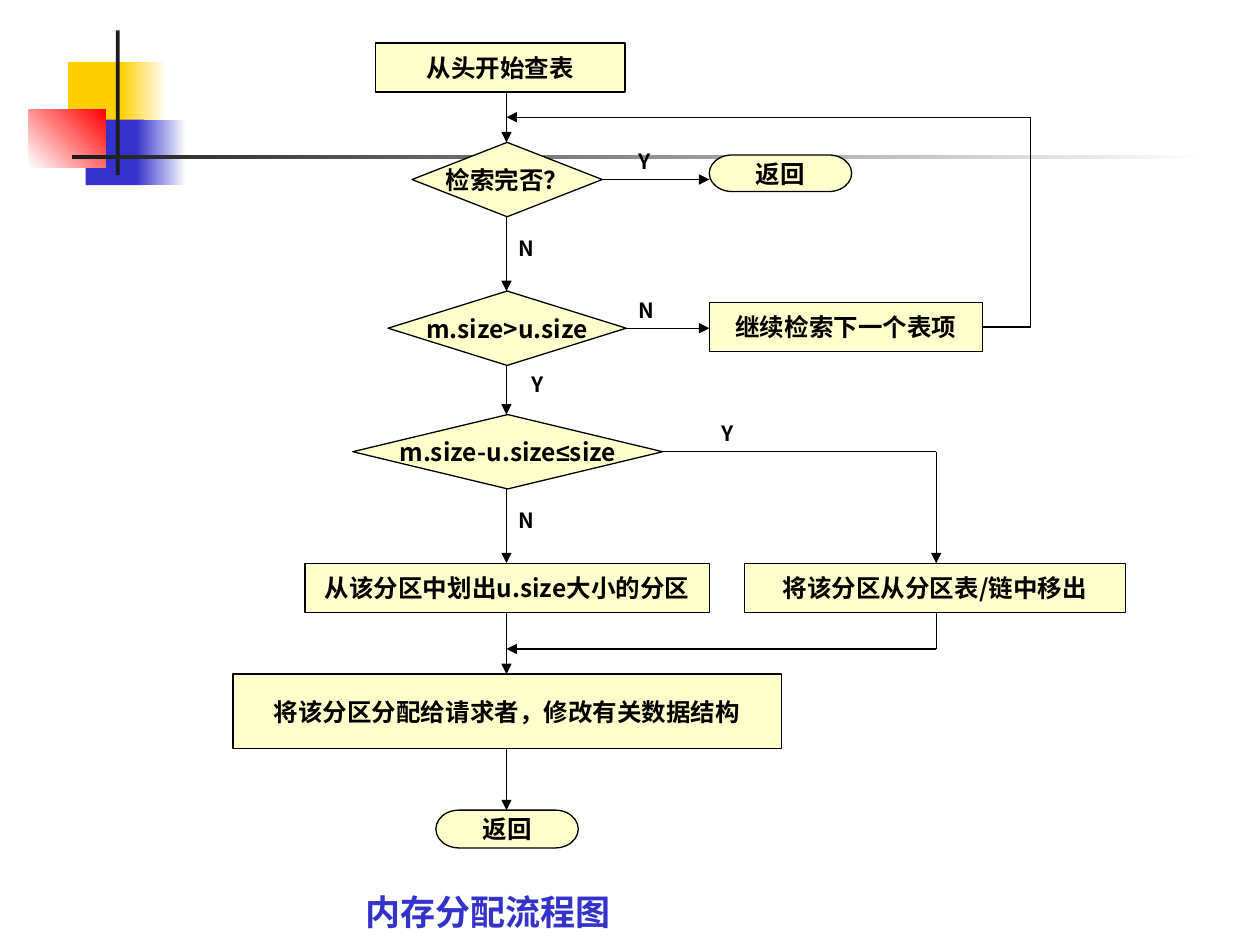
"""Build the memory allocation flowchart slide."""
import itertools

import pptx
import pptx.dml.color
import pptx.enum.shapes
import pptx.enum.text
import pptx.oxml.ns
import pptx.util
from lxml import etree

Inches = pptx.util.Inches
Pt = pptx.util.Pt
SHAPE = pptx.enum.shapes.MSO_SHAPE
CJK = "Noto Sans CJK SC"
INK, CREAM, BLUE, WHITE = "000000", "FFFFCC", "3333CC", "FFFFFF"
YELLOW, RED, CHARCOAL = "FFCF01", "FF0000", "1C1C1C"

ORNAMENT = [
    ((0.54, 0.49, 0.48, 0.52), [YELLOW], 0),
    ((0.96, 0.49, 0.36, 0.52), [YELLOW, WHITE], 0),
    ((0.68, 0.95, 0.46, 0.52), [BLUE], 0),
    ((1.08, 0.95, 0.40, 0.52), [BLUE, WHITE], 0),
    ((0.23, 0.87, 0.61, 0.46), [WHITE, RED], 45),
    ((0.92, 0.24, 0.03, 1.15), [CHARCOAL], 0),
    ((0.57, 1.23, 9.00, 0.03), [CHARCOAL, WHITE], 0),
]

STEP = SHAPE.FLOWCHART_PROCESS
TEST = SHAPE.FLOWCHART_DECISION
END = SHAPE.FLOWCHART_TERMINATOR
NODES = {
    "start": (STEP, (2.98, 0.34, 1.98, 0.39), [("从头开始查表", CJK)]),
    "finished": (TEST, (3.27, 1.13, 1.51, 0.59), [("检索完否？", CJK)]),
    "fits": (TEST, (3.08, 2.31, 1.89, 0.59), [("m.size>u.size", CJK)]),
    "remainder": (TEST, (2.80, 3.29, 2.46, 0.59),
                  [("m.size-u.size", CJK), ("≤", "Arial"), ("size", CJK)]),
    "split": (STEP, (2.42, 4.47, 3.21, 0.39), [("从该分区中划出u.size大小的分区", CJK)]),
    "allocate": (STEP, (1.85, 5.35, 4.35, 0.59),
                 [("将该分区分配给请求者，修改有关数据结构", CJK)]),
    "done": (END, (3.46, 6.43, 1.13, 0.30), [("返回", CJK)]),
    "failed": (END, (5.63, 1.23, 1.13, 0.29), [("返回", CJK)]),
    "remove": (STEP, (5.91, 4.47, 3.02, 0.39), [("将该分区从分区表/链中移出", CJK)]),
    "next": (STEP, (5.63, 2.40, 2.17, 0.39), [("继续检索下一个表项", CJK)]),
}
MAIN_PATH = ["start", "finished", "fits", "remainder", "split", "allocate", "done"]
MAIN_X, REMOVE_X, LOOP_X = 4.02, 7.43, 8.18
LOOP_Y, MERGE_Y = 0.93, 5.15

BRANCH_LABELS = [
    ("Y", 4.97, 1.13), ("Y", 5.63, 3.29), ("Y", 4.12, 2.90),
    ("N", 4.02, 1.82), ("N", 4.02, 3.98), ("N", 4.97, 2.31),
]
CAPTION = ("内存分配流程图", (2.80, 7.02, 2.55, 0.44))


def rgb(value):
    return pptx.dml.color.RGBColor.from_string(value)


def left(name):
    return NODES[name][1][0]


def top(name):
    return NODES[name][1][1]


def right(name):
    return left(name) + NODES[name][1][2]


def bottom(name):
    return top(name) + NODES[name][1][3]


def middle(name):
    return (top(name) + bottom(name)) / 2


def add_run(paragraph, text, font, size, color):
    run = paragraph.add_run()
    run.text = text
    run.font.name = font
    run.font.size = Pt(size)
    run.font.bold = True
    run.font.color.rgb = rgb(color)
    east_asian = etree.SubElement(run.font._element, pptx.oxml.ns.qn("a:ea"))
    east_asian.set("typeface", font)


def add_block(slide, kind, at, colors, angle=0):
    block = slide.shapes.add_shape(kind, *map(Inches, at))
    block.shadow.inherit = False
    block.line.fill.background()
    if len(colors) == 1:
        block.fill.solid()
        block.fill.fore_color.rgb = rgb(colors[0])
    else:
        block.fill.gradient()
        block.fill.gradient_angle = angle
        for stop, color in zip(block.fill.gradient_stops, colors):
            stop.color.rgb = rgb(color)
    return block


def add_node(slide, kind, at, runs):
    node = add_block(slide, kind, at, [CREAM])
    node.line.color.rgb = rgb(INK)
    node.line.width = Pt(0.75)
    frame = node.text_frame
    frame.word_wrap = False
    frame.vertical_anchor = pptx.enum.text.MSO_ANCHOR.MIDDLE
    frame.paragraphs[0].alignment = pptx.enum.text.PP_ALIGN.CENTER
    for text, font in runs:
        add_run(frame.paragraphs[0], text, font, 14, INK)


def add_route(slide, points, arrow=True):
    legs = list(itertools.pairwise(points))
    for index, (begin, end) in enumerate(legs, 1):
        leg = slide.shapes.add_connector(
            pptx.enum.shapes.MSO_CONNECTOR.STRAIGHT, *map(Inches, begin + end))
        leg.line.color.rgb = rgb(INK)
        leg.line.width = Pt(0.75)
        if arrow and index == len(legs):
            tail = etree.SubElement(leg.line._get_or_add_ln(), pptx.oxml.ns.qn("a:tailEnd"))
            tail.set("type", "triangle")
        etree.SubElement(leg._element.spPr, pptx.oxml.ns.qn("a:effectLst"))


def add_text(slide, text, at, size, color):
    frame = slide.shapes.add_textbox(*map(Inches, at)).text_frame
    frame.word_wrap = True
    frame.auto_size = pptx.enum.text.MSO_AUTO_SIZE.SHAPE_TO_FIT_TEXT
    add_run(frame.paragraphs[0], text, CJK, size, color)


def main():
    deck = pptx.Presentation()
    deck.slide_width, deck.slide_height = Inches(10), Inches(7.5)
    slide = deck.slides.add_slide(deck.slide_layouts[6])
    for at, colors, angle in ORNAMENT:
        add_block(slide, SHAPE.RECTANGLE, at, colors, angle)
    for kind, at, runs in NODES.values():
        add_node(slide, kind, at, runs)
    for upper, lower in itertools.pairwise(MAIN_PATH):
        add_route(slide, [(MAIN_X, bottom(upper)), (MAIN_X, top(lower))])
    for test, target in [("finished", "failed"), ("fits", "next")]:
        add_route(slide, [(right(test), middle(test)), (left(target), middle(test))])
    add_route(slide, [(right("remainder"), middle("remainder")),
                      (REMOVE_X, middle("remainder")), (REMOVE_X, top("remove"))])
    add_route(slide, [(REMOVE_X, bottom("remove")), (REMOVE_X, MERGE_Y), (MAIN_X, MERGE_Y)])
    add_route(slide, [(right("next"), middle("next")), (LOOP_X, middle("next")),
                      (LOOP_X, LOOP_Y), (MAIN_X, LOOP_Y)])
    for text, x, y in BRANCH_LABELS:
        add_text(slide, text, (x, y, 0.47, 0.30), 12, INK)
    add_text(slide, *CAPTION, 20, BLUE)
    deck.save("out.pptx")


if __name__ == "__main__":
    main()
